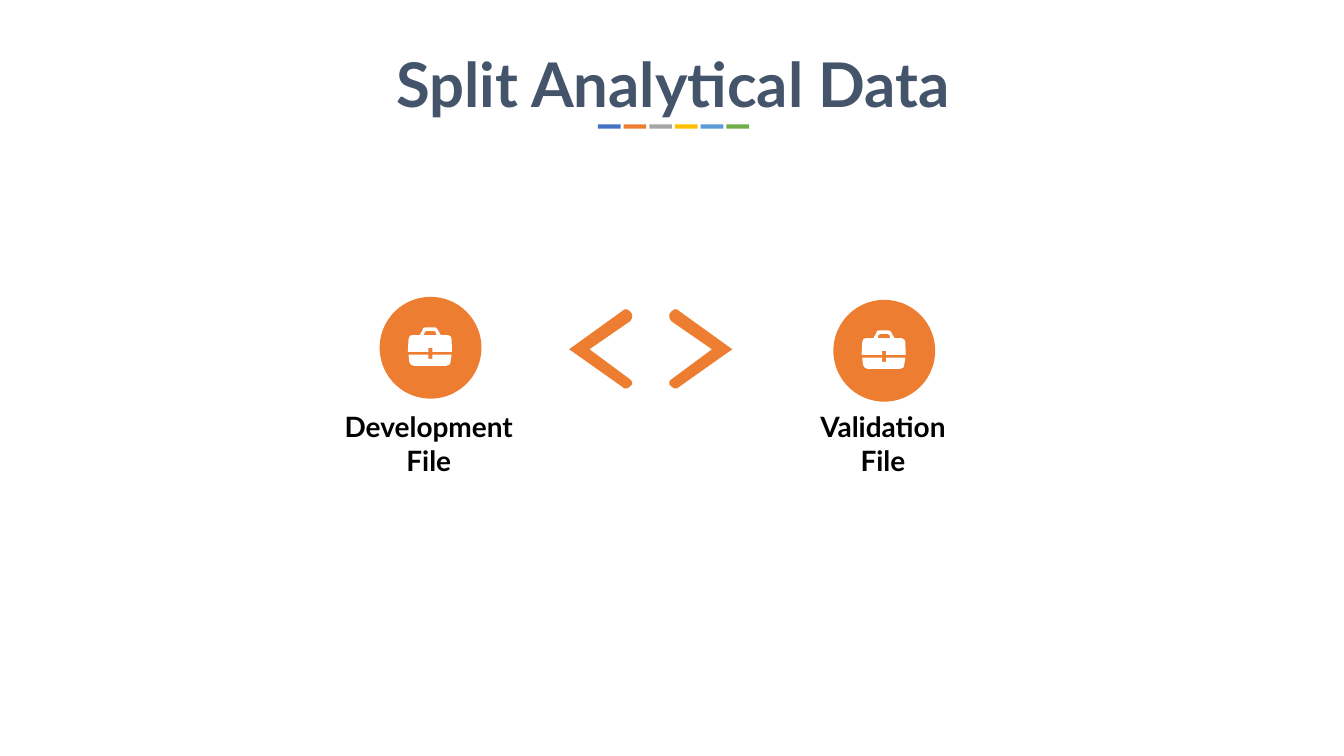
"""Build the slide that splits analytical data into two files."""
from typing import NamedTuple

from pptx import Presentation, util as u
from pptx.dml import color
from pptx.enum import shapes, text

HUES = {
    "navy": "44546A", "black": "000000", "white": "FFFFFF", "blue": "4472C4",
    "orange": "ED7D31", "gray": "A5A5A5", "gold": "FFC000", "sky": "5B9BD5",
    "green": "70AD47",
}
BARS = ("blue", "orange", "gray", "gold", "sky", "green")
DISC = 145.4
SPAN = 233

ARROW = [
    (0, 0), (75, -54), (79, -57), (83, -57), (87, -54), (90, -50), (90, -45),
    (87, -40), (29, 0), (87, 43), (90, 46), (90, 50), (87, 53), (83, 56),
    (79, 56), (75, 53),
]
LID = [
    (29.5, 29.5), (35, 29.5), (35, 35), (63, 35), (62.5, 17), (61, 13),
    (57, 11), (47, 11), (43, 4), (41, 1), (38, 0), (25, 0), (22, 1), (21, 4),
    (17, 11), (7, 11), (3, 12), (1, 17), (0, 35), (29.5, 35),
]
GRIP = [(24, 7), (27, 5), (37, 5), (40, 7), (41, 11), (23, 11)]
BASE = [
    (35, 45), (29.5, 45), (29.5, 39), (1, 39), (2, 49), (4, 53), (8, 55),
    (55, 55), (60, 53), (61, 49), (62.5, 39), (35, 39),
]


class File(NamedTuple):
    """A data file: its name, disc corner and label box."""
    name: str
    left: float
    top: float
    start: float
    width: float


FILES = (
    File("Development File", 542.2, 424.1, 450.7, 323.3),
    File("Validation File", 1190.2, 428.4, 1127.5, 267.1),
)


def paint(shape, hue: str) -> None:
    """Give a shape a plain fill with no line or shadow."""
    shape.shadow.inherit = False
    shape.fill.solid()
    shape.fill.fore_color.rgb = color.RGBColor.from_string(HUES[hue])
    shape.line.fill.background()


def write(shape, words: str, *, size: float, hue: str, side: float = 7.2,
          edge: float = 3.6) -> None:
    """Put bold centred text into a shape."""
    frame = shape.text_frame
    frame.word_wrap = True
    frame.auto_size = text.MSO_AUTO_SIZE.NONE
    frame.vertical_anchor = text.MSO_ANCHOR.TOP
    frame.margin_left = frame.margin_right = u.Pt(side)
    frame.margin_top = frame.margin_bottom = u.Pt(edge)
    line = frame.paragraphs[0]
    line.alignment = text.PP_ALIGN.CENTER
    line.line_spacing = 1.0
    run = line.add_run()
    run.text = words
    font = run.font
    font.name, font.size, font.bold = "Lato", u.Pt(size), True
    font.color.rgb = color.RGBColor.from_string(HUES[hue])


def block(slide, kind, left: float, top: float, width: float, height: float,
          hue: str) -> None:
    """Draw a filled preset shape."""
    box = map(u.Pt, (left, top, width, height))
    paint(slide.shapes.add_shape(kind, *box), hue)


def trace(slide, rings: list, left: float, top: float, hue: str) -> None:
    """Draw closed rings of points as one outline."""
    moved = [[(u.Pt(left + x), u.Pt(top + y)) for x, y in ring]
             for ring in rings]
    pen = slide.shapes.build_freeform(*moved[0][0], scale=1.0)
    for num, ring in enumerate(moved):
        if num:
            pen.move_to(*ring[0])
        pen.add_line_segments(ring[1:], close=True)
    paint(pen.convert_to_shape(), hue)


def draw(slide, file: File) -> None:
    """Draw one file with its disc, briefcase and label."""
    block(slide, shapes.MSO_SHAPE.OVAL, file.left, file.top, DISC, DISC,
          "orange")
    trace(slide, [LID, GRIP, BASE], file.left + 40.3, file.top + 43.5, "white")
    box = map(u.Pt, (file.start, 578.2, file.width, 111.6))
    label = slide.shapes.add_textbox(*box)
    write(label, file.name, size=40, hue="black", side=14.4, edge=7.2)


def main() -> None:
    """Build and save the slide."""
    deck = Presentation()
    deck.slide_width, deck.slide_height = u.Pt(1919.52), u.Pt(1080)
    slide = deck.slides.add_slide(deck.slide_layouts[5])
    title = slide.shapes.title
    title.left, title.top = u.Pt(136.8), u.Pt(62.6)
    title.width, title.height = u.Pt(1648.8), u.Pt(113.8)
    write(title, "Split Analytical Data", size=88, hue="navy")
    for num, hue in enumerate(BARS):
        block(slide, shapes.MSO_SHAPE.RECTANGLE, 853.9 + 36.7 * num, 177.8,
              32.4, 5.8, hue)
    for file in FILES:
        draw(slide, file)
    twin = [(SPAN - x, y) for x, y in ARROW]
    trace(slide, [ARROW, twin], 812.9, 499, "orange")
    deck.save("out.pptx")


if __name__ == "__main__":
    main()
